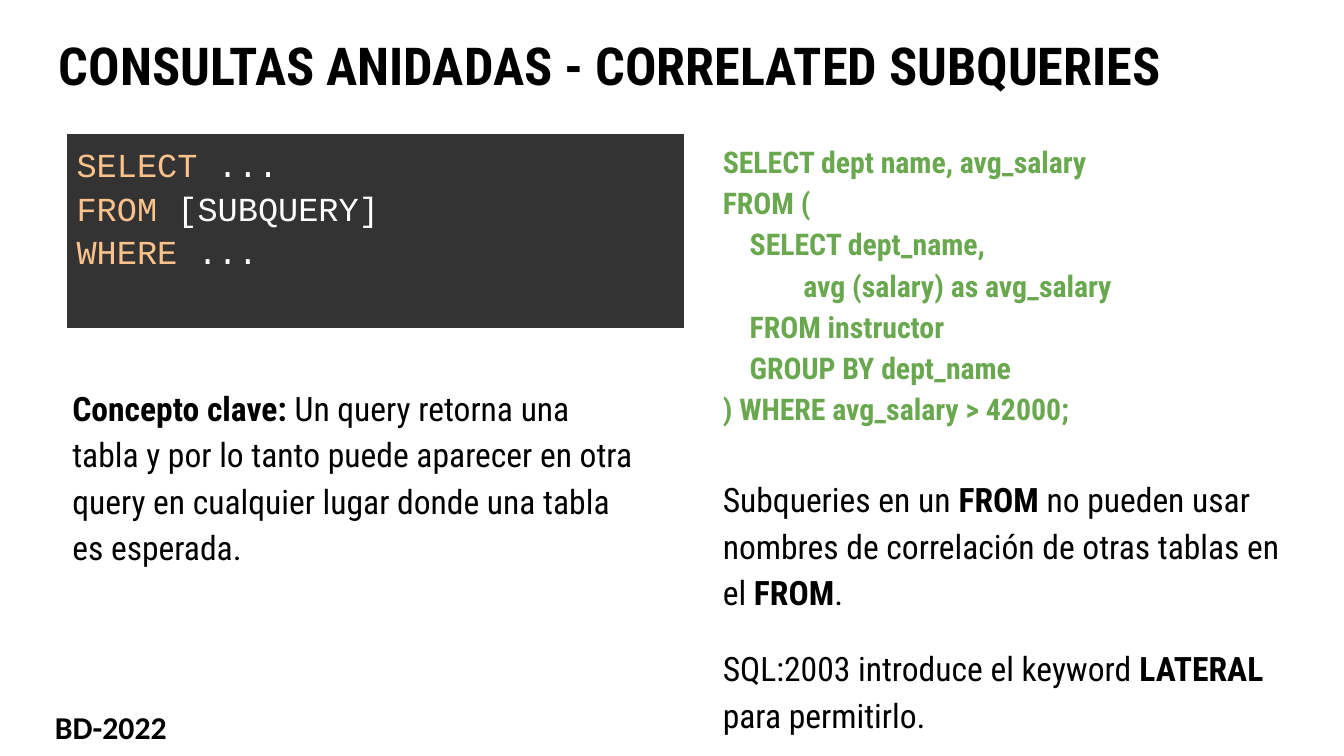
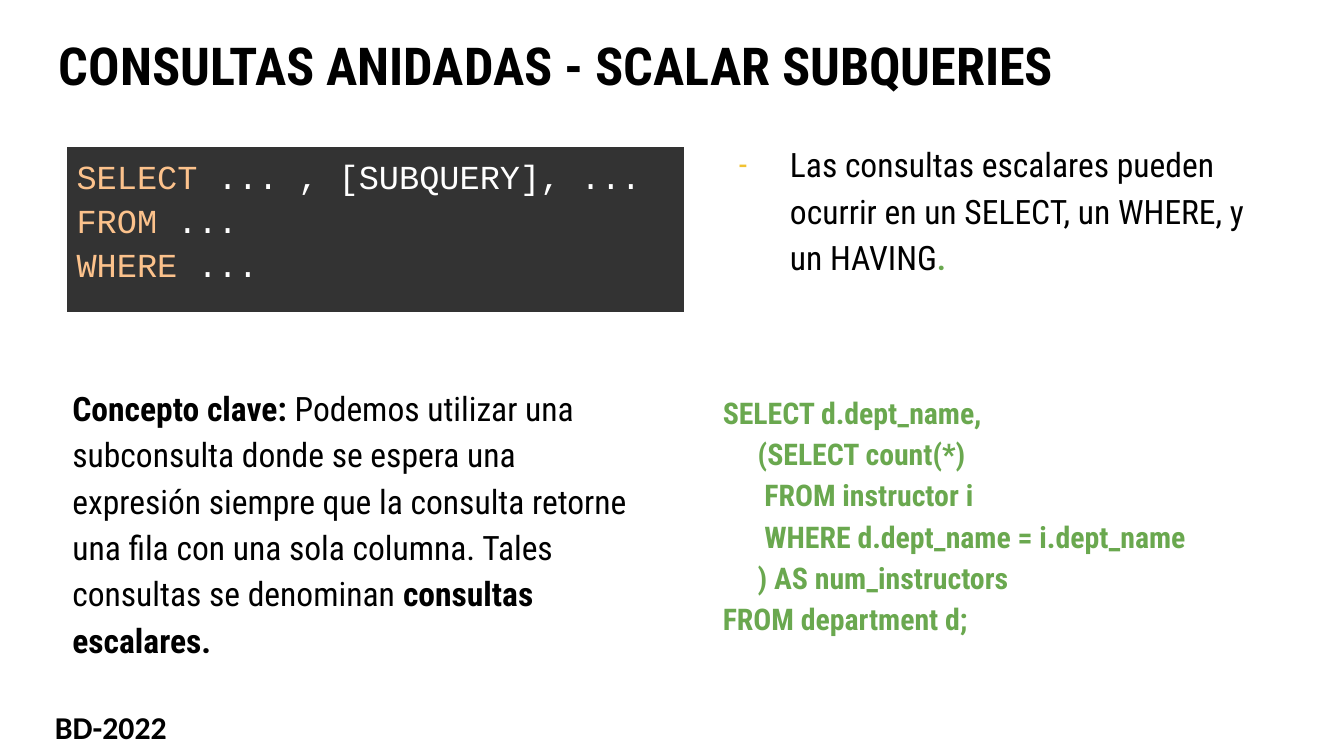
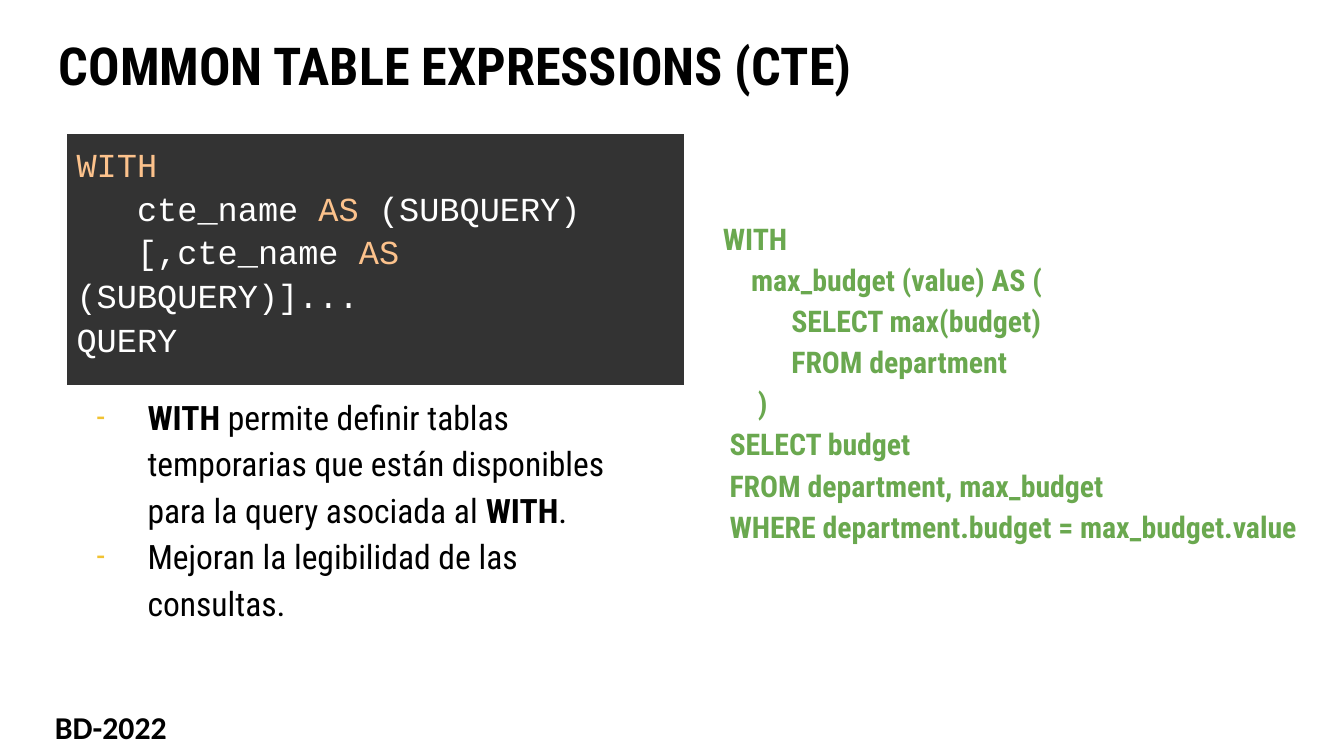
import pptx
import pptx.util
import pptx.dml.color
import pptx.enum.shapes
import pptx.enum.text
import pptx.oxml
import pptx.oxml.ns
from pptx.util import Inches, Pt


def rgb(hex_color):
    return pptx.dml.color.RGBColor.from_string(hex_color)


# Shared look
BLACK, WHITE, DARK, GOLD = "000000", "FFFFFF", "333333", "F1C232"
SANS, MONO = "Roboto Condensed", "Courier New"
FORMATS = {
    "title": ({"name": SANS, "size": Pt(28), "bold": True}, BLACK),
    "text": ({"name": SANS, "size": Pt(18), "bold": False}, BLACK),
    "strong": ({"name": SANS, "size": Pt(18), "bold": True}, BLACK),
    "example": ({"name": SANS, "size": Pt(16), "bold": True}, "6AA84F"),
    "keyword": ({"name": MONO, "size": Pt(18), "bold": False}, "FCC28C"),
    "code": ({"name": MONO, "size": Pt(18), "bold": False}, WHITE),
    "footer": ({"name": "Calibri", "size": Pt(17), "bold": True}, BLACK),
}
TITLE_BOX = (0.34, 0.15, 9.32, 0.63)
FOOTER_BOX = (0.31, 5.17, 1.04, 0.4)
FOOTER = "BD-2022"
SYNTAX_LEFT, SYNTAX_WIDTH, SYNTAX_FRAME = 0.5, 4.59, 3.28
LINE_SPACING = 1.15
INSET = 0.1
CELL_INSET = 0.07
LINE_BREAK = ("break", "")


# Content: a paragraph is a dict with runs of (format, text)
def para(*runs, indent=0, before=0, bullet=False):
    return {"runs": runs, "indent": indent, "before": before, "bullet": bullet}


def example(*lines, before=0):
    """Lines of (indent in inches, code); the gap comes before the first."""
    return [para(("example", code), indent=indent, before=0 if i else before)
            for i, (indent, code) in enumerate(lines)]


SLIDES = [
    {
        "title": "CONSULTAS ANIDADAS - CORRELATED SUBQUERIES",
        "syntax": (1, 1.44, [
            para(("keyword", "SELECT"), ("code", " ..."), LINE_BREAK,
                 ("keyword", "FROM"), ("code", " [SUBQUERY]"), LINE_BREAK,
                 ("keyword", "WHERE"), ("code", " ...")),
        ]),
        "bodies": [
            ((5.28, 0.93, 4.37, 3.74), INSET, example(
                (0, "SELECT dept name, avg_salary"),
                (0, "FROM ("),
                (0.2, "SELECT dept_name,"),
                (0.6, "avg (salary) as avg_salary"),
                (0.2, "FROM instructor"),
                (0.2, "GROUP BY dept_name"),
                (0, ") WHERE avg_salary > 42000;"),
            ) + [
                para(("text", "Subqueries en un "), ("strong", "FROM"),
                     ("text", " no pueden usar nombres de correlación de otras tablas en el "),
                     ("strong", "FROM"), ("text", "."), before=25),
                para(("text", "SQL:2003 introduce el keyword "), ("strong", "LATERAL"),
                     ("text", " para permitirlo."), before=16),
            ]),
            ((0.44, 2.74, 4.37, 2.41), INSET, [
                para(("strong", "Concepto clave: "),
                     ("text", "Un query retorna una tabla y por lo tanto puede aparecer "
                              "en otra query en cualquier lugar donde una tabla es esperada.")),
            ]),
        ],
    },
    {
        "title": "CONSULTAS ANIDADAS - SCALAR SUBQUERIES",
        "syntax": (1.09, 1.23, [
            para(("keyword", "SELECT"), ("code", " ... , [SUBQUERY], ..."), LINE_BREAK,
                 ("keyword", "FROM"), ("code", " ...")),
            para(("keyword", "WHERE "), ("code", "...")),
        ]),
        "bodies": [
            ((5.28, 0.93, 4.37, 3.74), INSET, [
                para(("text", "Las consultas escalares pueden ocurrir en un SELECT, "
                              "un WHERE, y un HAVING"), ("example", "."), bullet=True),
            ] + example(
                (0, "SELECT d.dept_name,"),
                (0.26, "(SELECT count(*)"),
                (0.31, "FROM instructor i"),
                (0.31, "WHERE d.dept_name = i.dept_name"),
                (0.26, ") AS num_instructors"),
                (0, "FROM department d;"),
                before=60,
            )),
            ((0.44, 2.74, 4.37, 2.41), INSET, [
                para(("strong", "Concepto clave: "),
                     ("text", "Podemos utilizar una subconsulta donde se espera una expresión "
                              "siempre que la consulta retorne una fila con una sola columna. "
                              "Tales consultas se denominan "),
                     ("strong", "consultas escalares.")),
            ]),
        ],
    },
    {
        "title": "COMMON TABLE EXPRESSIONS (CTE)",
        "syntax": (1, 1.58, [
            para(("keyword", "WITH")),
            para(("code", "cte_name"), ("keyword", " AS"), ("code", " (SUBQUERY)"), indent=0.45),
            para(("code", "[,cte_name"), ("keyword", " AS"), ("code", " (SUBQUERY)]..."),
                 indent=0.45),
            para(("code", "QUERY")),
        ]),
        "bodies": [
            ((5.28, 0.93, 4.79, 3.74), 0.67, example(
                (0, "WITH"),
                (0.21, "max_budget (value) AS ("),
                (0.51, "SELECT max(budget)"),
                (0.51, "FROM department"),
                (0.26, ")"),
                (0.05, "SELECT budget"),
                (0.05, "FROM department, max_budget"),
                (0.05, "WHERE department.budget = max_budget.value"),
            )),
            ((0.5, 2.81, 4.37, 2.2), INSET, [
                para(("strong", "WITH"),
                     ("text", " permite definir tablas temporarias que están disponibles "
                              "para la query asociada al "),
                     ("strong", "WITH"), ("text", "."), bullet=True),
                para(("text", "Mejoran la legibilidad de las consultas."), bullet=True),
            ]),
        ],
    },
]


# Text helpers
def add_xml(parent, xml):
    parent.append(pptx.oxml.parse_xml(
        xml.replace(" ", " " + pptx.oxml.ns.nsdecls("a") + " ", 1)))


def write(frame, paragraphs, spacing=LINE_SPACING):
    for i, content in enumerate(paragraphs):
        paragraph = frame.add_paragraph() if i else frame.paragraphs[0]
        layout = {"alignment": pptx.enum.text.PP_ALIGN.LEFT, "line_spacing": spacing,
                  "space_before": Pt(content["before"]), "space_after": Pt(0)}
        for name, value in layout.items():
            setattr(paragraph, name, value)
        margin, first = (0.5, -0.38) if content["bullet"] else (0, content["indent"])
        properties = paragraph._p.get_or_add_pPr()
        properties.set("marL", str(Inches(margin)))
        properties.set("indent", str(Inches(first)))
        if content["bullet"]:
            add_xml(properties, f'<a:buClr ><a:srgbClr val="{GOLD}"/></a:buClr>')
            add_xml(properties, f'<a:buFont typeface="{SANS}"/>')
            add_xml(properties, '<a:buChar char="-"/>')
        for style, text in content["runs"]:
            if style == "break":
                paragraph.add_line_break()
                continue
            run = paragraph.add_run()
            run.text = text
            values, color = FORMATS[style]
            for name, value in values.items():
                setattr(run.font, name, value)
            run.font.color.rgb = rgb(color)


def set_frame(frame, top=INSET):
    values = {"word_wrap": True, "vertical_anchor": pptx.enum.text.MSO_ANCHOR.TOP,
              "margin_left": Inches(INSET), "margin_right": Inches(INSET),
              "margin_top": Inches(top), "margin_bottom": Inches(INSET)}
    for name, value in values.items():
        setattr(frame, name, value)


# Slide parts
def add_text(slide, box, paragraphs, top=INSET, spacing=LINE_SPACING):
    frame = slide.shapes.add_textbox(*map(Inches, box)).text_frame
    set_frame(frame, top)
    write(frame, paragraphs, spacing)


def add_syntax(slide, top, height, paragraphs):
    syntax = slide.shapes.add_table(1, 1, Inches(SYNTAX_LEFT), Inches(top),
                                    Inches(SYNTAX_FRAME), Inches(SYNTAX_FRAME))
    table = syntax.table
    table.first_row = table.horz_banding = False
    table.columns[0].width = Inches(SYNTAX_WIDTH)
    table.rows[0].height = Inches(height)
    syntax.width = syntax.height = Inches(SYNTAX_FRAME)
    cell = table.cell(0, 0)
    for side in ("left", "right", "top", "bottom"):
        setattr(cell, "margin_" + side, Inches(CELL_INSET))
    # Fully transparent borders
    for edge in ("lnL", "lnR", "lnT", "lnB"):
        add_xml(cell._tc.get_or_add_tcPr(),
                f'<a:{edge} w="{Pt(0.75)}"><a:solidFill><a:srgbClr val="{BLACK}">'
                f'<a:alpha val="0"/></a:srgbClr></a:solidFill></a:{edge}>')
    cell.fill.solid()
    cell.fill.fore_color.rgb = rgb(DARK)
    write(cell.text_frame, paragraphs)


def add_footer(slide):
    footer = slide.shapes.add_shape(pptx.enum.shapes.MSO_SHAPE.RECTANGLE,
                                    *map(Inches, FOOTER_BOX))
    footer.shadow.inherit = False
    footer.fill.solid()
    footer.fill.fore_color.rgb = rgb(WHITE)
    footer.line.fill.background()
    set_frame(footer.text_frame)
    write(footer.text_frame, [para(("footer", FOOTER))], spacing=1.0)


def main():
    deck = pptx.Presentation()
    deck.slide_width = Inches(10)
    deck.slide_height = deck.slide_width * 9 // 16
    for content in SLIDES:
        slide = deck.slides.add_slide(deck.slide_layouts[6])
        slide.background.fill.solid()
        slide.background.fill.fore_color.rgb = rgb(WHITE)
        add_text(slide, TITLE_BOX, [para(("title", content["title"]))], spacing=1.0)
        add_syntax(slide, *content["syntax"])
        for box, top, paragraphs in content["bodies"]:
            add_text(slide, box, paragraphs, top)
        add_footer(slide)
    deck.save("out.pptx")


if __name__ == "__main__":
    main()
